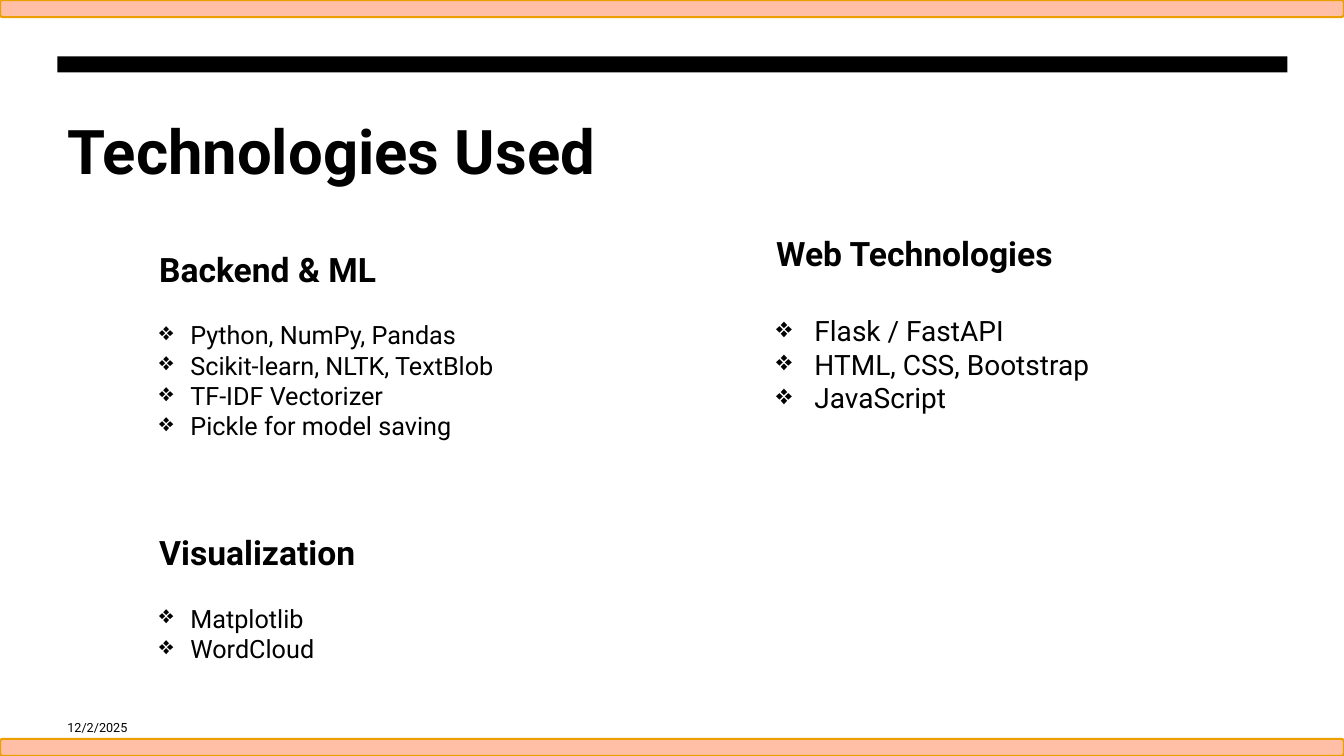
from pptx import Presentation
from pptx.dml.color import RGBColor
from pptx.enum.shapes import MSO_SHAPE
from pptx.enum.text import MSO_ANCHOR
from pptx.oxml.ns import qn
from pptx.util import Inches, Pt
from lxml.etree import SubElement

BLACK = RGBColor(0x00, 0x00, 0x00)
PEACH = RGBColor(0xFF, 0xBE, 0xA6)
AMBER = RGBColor(0xEB, 0xA0, 0x00)
LINE_HEIGHT = 1.21
SLIDE_WIDTH, SLIDE_HEIGHT = 13.33, 7.5
EDGE_HEIGHT = 0.17
MARGIN, CONTENT_WIDTH = 0.57, 12.2

BACKEND = ("Backend & ML", ["Python, NumPy, Pandas", "Scikit-learn, NLTK, TextBlob",
                            "TF-IDF Vectorizer", "Pickle for model saving"])
VISUALIZATION = ("Visualization", ["Matplotlib", "WordCloud"])
WEB = ("Web Technologies", ["Flask / FastAPI", "HTML, CSS, Bootstrap", "JavaScript"])


def add_bar(slide, kind, box, fill, outline=None):
    """Draw a filled horizontal bar, outlined if a colour is given."""
    bar = slide.shapes.add_shape(kind, *map(Inches, box))
    bar.shadow.inherit = False
    bar.fill.solid()
    bar.fill.fore_color.rgb = fill
    if outline is None:
        bar.line.fill.background()
    else:
        bar.line.color.rgb = outline
        bar.line.width = Pt(1.5)


def add_frame(slide, box, anchor=MSO_ANCHOR.TOP):
    """Add a wrapping text box and return its text frame."""
    frame = slide.shapes.add_textbox(*map(Inches, box)).text_frame
    frame.word_wrap = True
    frame.vertical_anchor = anchor
    return frame


def write(paragraph, text, size, bold=False):
    """Write one run of black Roboto into a paragraph."""
    run = paragraph.add_run()
    run.text = text
    for name, value in {"name": "Roboto", "size": Pt(size), "bold": bold}.items():
        setattr(run.font, name, value)
    run.font.color.rgb = BLACK


def add_bullet(paragraph, indent):
    """Give a paragraph a hanging diamond bullet."""
    properties = paragraph._p.get_or_add_pPr()
    properties.set("marL", str(Inches(indent)))
    properties.set("indent", str(-Inches(indent)))
    SubElement(properties, qn("a:buChar")).set("char", "❖")


def add_topics(slide, box, topics, size, indent, gap):
    """Fill a box with headed bullet lists, a gap in points under each heading."""
    frame = add_frame(slide, box)
    for index, (heading, items) in enumerate(topics):
        title = frame.add_paragraph() if index else frame.paragraphs[0]
        write(title, heading, 24, bold=True)
        title.space_after = Pt(gap)
        if index:
            title.space_before = Pt(3 * gap)
        for item in items:
            entry = frame.add_paragraph()
            add_bullet(entry, indent)
            write(entry, item, size)


def build_slide(slide):
    """Place the bars, title, date and topic columns."""
    add_bar(slide, MSO_SHAPE.RECTANGLE, (MARGIN, 0.56, CONTENT_WIDTH, 0.16), BLACK)
    for top in (0, SLIDE_HEIGHT - EDGE_HEIGHT):
        add_bar(slide, MSO_SHAPE.ROUNDED_RECTANGLE,
                (0, top, SLIDE_WIDTH, EDGE_HEIGHT), PEACH, AMBER)
    title = add_frame(slide, (MARGIN, 1.07, CONTENT_WIDTH, 1.6))
    write(title.paragraphs[0], "Technologies Used", 44, bold=True)
    date = add_frame(slide, (MARGIN, 7.02, 3, 0.4), MSO_ANCHOR.MIDDLE)
    write(date.paragraphs[0], "12/2/2025", 9)
    add_topics(slide, (1.48, 2.42, 3.82, 4.24), [BACKEND, VISUALIZATION],
               18, 0.31, 18 * LINE_HEIGHT)
    add_topics(slide, (7.6, 2.26, 5.73, 1.92), [WEB], 20, 0.38, 24 * LINE_HEIGHT)


def main():
    """Build and save the presentation."""
    deck = Presentation()
    deck.slide_width, deck.slide_height = Inches(SLIDE_WIDTH), Inches(SLIDE_HEIGHT)
    build_slide(deck.slides.add_slide(deck.slide_layouts[6]))
    deck.save("out.pptx")


if __name__ == "__main__":
    main()
